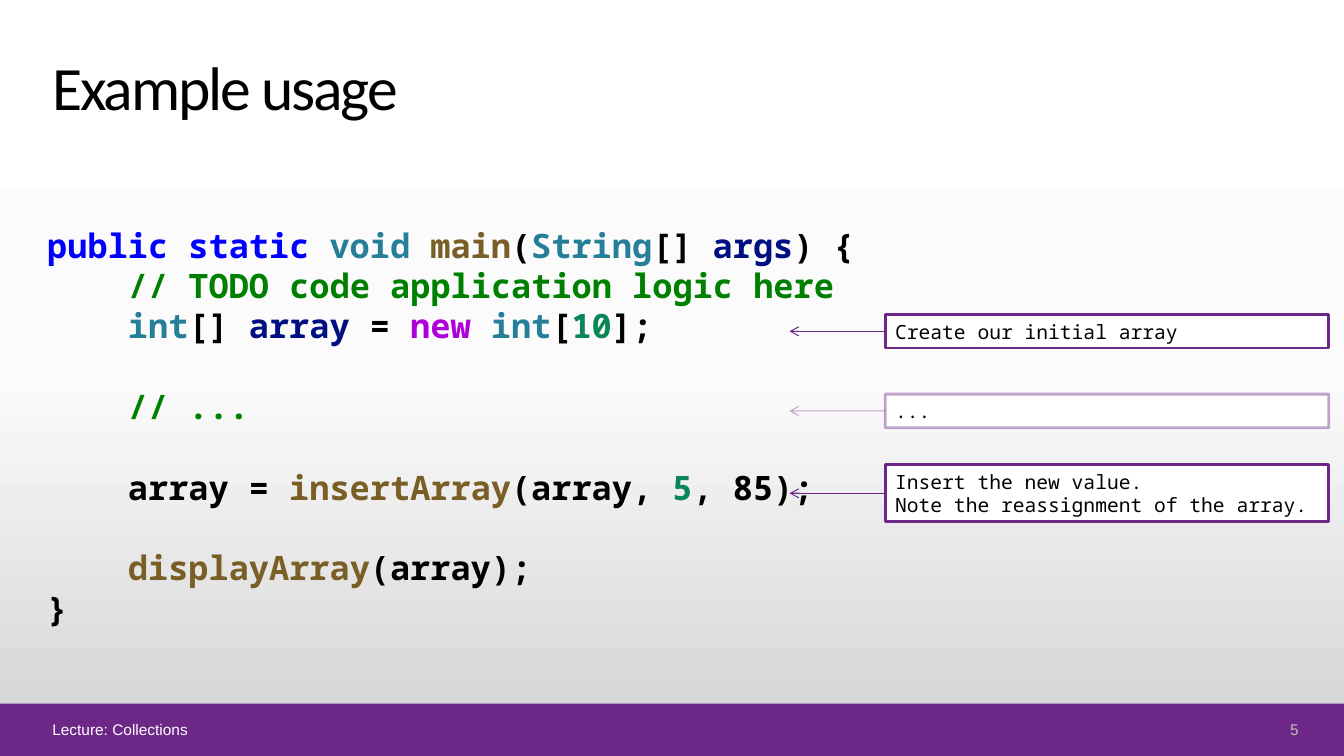
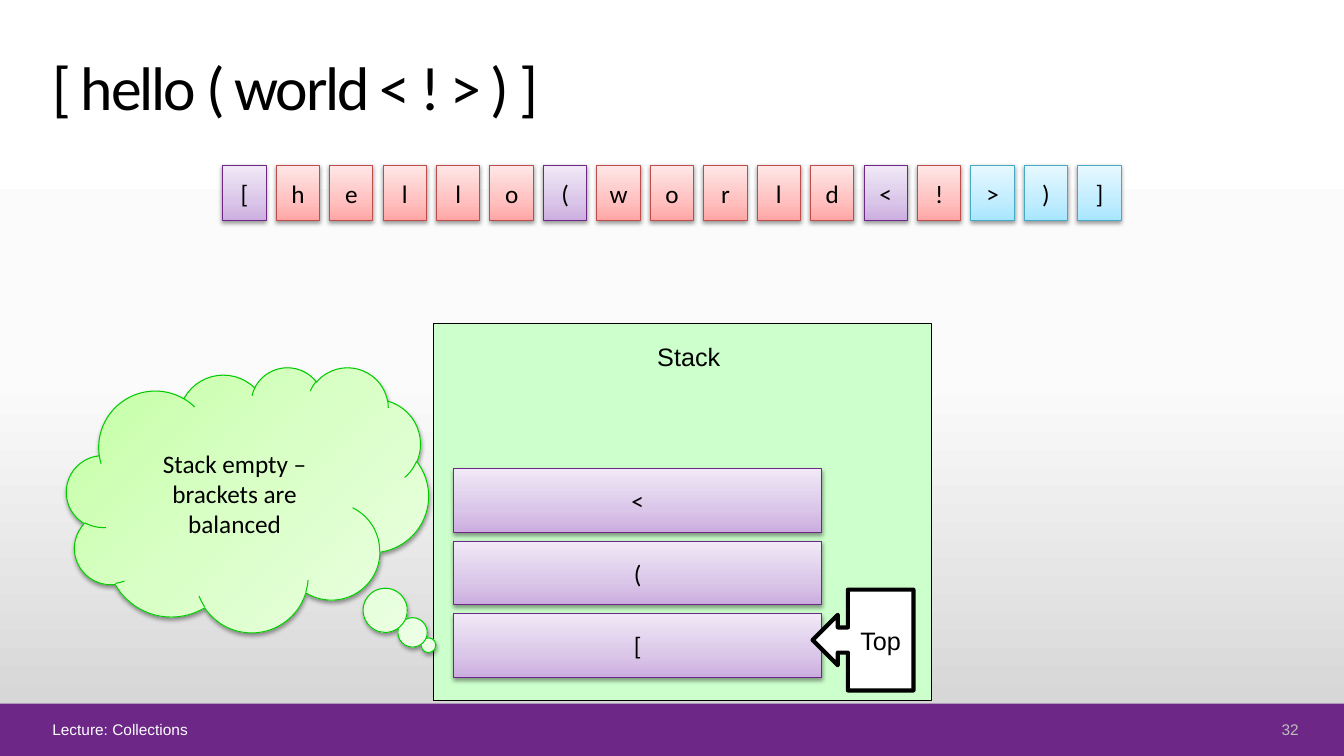
from lxml import etree
from pptx import Presentation
from pptx import util as u
from pptx.dml.color import RGBColor
from pptx.enum import shapes, text
from pptx.oxml.ns import qn

Inches, Pt = u.Inches, u.Pt
Kind, Align, Anchor = shapes.MSO_SHAPE, text.PP_ALIGN, text.MSO_ANCHOR

# Colours
BLACK = RGBColor(0x00, 0x00, 0x00)
WHITE = RGBColor(0xFF, 0xFF, 0xFF)
GREY = RGBColor(0xBF, 0xBF, 0xBF)
PURPLE = RGBColor(0x6C, 0x27, 0x87)
RED = RGBColor(0xBF, 0x4C, 0x48)
CYAN = RGBColor(0x46, 0xAA, 0xC5)
GREEN = RGBColor(0x00, 0xCC, 0x00)
PALE_GREEN = RGBColor(0xCC, 0xFF, 0xCC)

# Syntax colours
KEYWORD = RGBColor(0x00, 0x00, 0xFF)
TYPE = RGBColor(0x26, 0x7F, 0x99)
METHOD = RGBColor(0x79, 0x5E, 0x26)
VARIABLE = RGBColor(0x00, 0x10, 0x80)
COMMENT = RGBColor(0x00, 0x80, 0x00)
OPERATOR = RGBColor(0xAF, 0x00, 0xDB)
NUMBER = RGBColor(0x09, 0x86, 0x58)


def ramp(middle, *colours):
    """Pair three hex colours with their stop positions in percent."""
    return list(zip((0, middle, 100), [RGBColor.from_string(c) for c in colours]))


BACKGROUND_RAMP = ramp(50, "FFFFFF", "FBFBFB", "D1D1D1")
PURPLE_RAMP = ramp(35, "CBADDF", "DAC6E8", "F1E9F7")
RED_RAMP = ramp(35, "FFA6A5", "FFC0BF", "FFE7E7")
CYAN_RAMP = ramp(35, "A7E6FF", "C1EDFF", "E7F8FF")
GREEN_RAMP = ramp(50, "C4FFA3", "D9FFC7", "ECFFE4")

TITLE_FONT, BODY_FONT, CODE_FONT = "Calibri", "Arial", "Noto Sans Mono"
SLIDE_WIDTH, SLIDE_HEIGHT = 13.33, 7.5
BAND_TOP, BAND_HEIGHT = 6.98, 0.52
MARGIN = 0.42
LINE_RATIO = 1.2


# Formatting helpers
def add_element(parent, tag, **attributes):
    element = etree.SubElement(parent, qn(tag))
    for name, value in attributes.items():
        element.set(name, str(value))
    return element


def add_alpha(parent, percent):
    add_element(parent, "a:alpha", val=percent * 1000)


def set_gradient(fill, properties, stops, angle):
    """Give the owner of the fill a linear gradient, angle clockwise."""
    fill.solid()
    solid = properties.find(qn("a:solidFill"))
    gradient = etree.Element(qn("a:gradFill"), rotWithShape="1")
    stop_list = add_element(gradient, "a:gsLst")
    for position, colour in stops:
        stop = add_element(stop_list, "a:gs", pos=position * 1000)
        add_element(stop, "a:srgbClr", val=colour)
    add_element(gradient, "a:lin", ang=angle * 60000, scaled=0)
    properties.replace(solid, gradient)


def set_line(line, colour, width, alpha=100):
    line.color.rgb = colour
    line.width = Pt(width)
    if alpha < 100:
        add_alpha(line.fill._xPr.find(qn("a:solidFill"))[0], alpha)


def add_soft_shadow(shape):
    effects = shape._element.spPr.find(qn("a:effectLst"))
    shadow = add_element(effects, "a:outerShdw", blurRad=Pt(3.1), dist=Pt(1.6),
                         dir=90 * 60000, rotWithShape=0)
    add_alpha(add_element(shadow, "a:srgbClr", val=BLACK), 38)


def write_text(shape, lines, size=18, font=BODY_FONT, colour=BLACK, bold=False,
               align=Align.LEFT, anchor=Anchor.TOP, wrap=True, pitch=None,
               gaps=(), tracking=None):
    """Write lines, each a string or a list of (text, colour) runs.

    The lines whose index is in gaps stand one line lower."""
    frame = shape.text_frame
    frame.word_wrap, frame.vertical_anchor = wrap, anchor
    for index, line in enumerate(lines):
        paragraph = frame.add_paragraph() if index else frame.paragraphs[0]
        paragraph.alignment = align
        if pitch:
            paragraph.line_spacing = Pt(pitch)
        if index in gaps:
            paragraph.space_before = Pt(pitch)
        for words, tint in [(line, colour)] if isinstance(line, str) else line:
            run = paragraph.add_run()
            run.text = words
            run.font.size, run.font.name = Pt(size), font
            run.font.bold, run.font.color.rgb = bold, tint
            if tracking:
                run.font._element.set("spc", str(int(tracking * 100)))


def add_text(slide, box, lines, **style):
    shape = slide.shapes.add_textbox(*map(Inches, box))
    write_text(shape, lines, **style)
    return shape


def add_box(slide, box, fill, kind=Kind.RECTANGLE, line=None, width=0.75, alpha=100,
            angle=270):
    """Add a shape; a gradient fill also brings a soft shadow."""
    shape = slide.shapes.add_shape(kind, *map(Inches, box))
    shape.shadow.inherit = False
    if isinstance(fill, list):
        set_gradient(shape.fill, shape._element.spPr, fill, angle)
        add_soft_shadow(shape)
    else:
        shape.fill.solid()
        shape.fill.fore_color.rgb = fill
    if line is None:
        shape.line.fill.background()
    else:
        set_line(shape.line, line, width, alpha)
    return shape


# Parts shared by the slides
def set_background(presentation):
    background = presentation.slide_master.background
    background.fill.solid()
    properties = presentation.slide_master._element.cSld.find(qn("p:bg"))[0]
    set_gradient(background.fill, properties, BACKGROUND_RAMP, 90)


def add_base_slide(presentation, title, number):
    slide = presentation.slides.add_slide(presentation.slide_layouts[6])
    add_box(slide, (0, BAND_TOP, SLIDE_WIDTH, BAND_HEIGHT), PURPLE)
    add_text(slide, (MARGIN, 0.4, 10.4, 0.87), [title], size=44, font=TITLE_FONT,
             anchor=Anchor.BOTTOM, tracking=-1.5)
    footer = dict(size=11, anchor=Anchor.MIDDLE)
    add_text(slide, (MARGIN, 7.12, 11.65, 0.23), ["Lecture: Collections"],
             colour=WHITE, **footer)
    add_text(slide, (12.23, 7.12, 0.75, 0.23), [str(number)], colour=GREY,
             align=Align.RIGHT, **footer)
    return slide


# Code slide
CODE_LINES = [
    [("public static ", KEYWORD), ("void ", TYPE), ("main", METHOD), ("(", BLACK),
     ("String", TYPE), ("[] ", BLACK), ("args", VARIABLE), (") {", BLACK)],
    [("    // TODO code application logic here", COMMENT)],
    [("    int", TYPE), ("[] ", BLACK), ("array", VARIABLE), (" = ", BLACK),
     ("new ", OPERATOR), ("int", TYPE), ("[", BLACK), ("10", NUMBER), ("];", BLACK)],
    [("    // ...", COMMENT)],
    [("    array = ", BLACK), ("insertArray", METHOD), ("(array, ", BLACK),
     ("5", NUMBER), (", 85);", BLACK)],
    [("    displayArray", METHOD), ("(array);", BLACK)],
    "}",
]
CODE_GAPS = (3, 4, 5)

# Top, text lines and opacity of each remark
REMARKS = [
    (3.12, ["Create our initial array"], 100),
    (3.91, ["..."], 41),
    (4.61, ["Insert the new value.", "Note the reassignment of the array."], 100),
]


def add_remark(slide, left, top, lines, alpha):
    size, arrow_length = 14, 0.95
    pitch = size * LINE_RATIO
    height = 0.1 + len(lines) * pitch / 72
    remark = add_box(slide, (left, top, 4.4, height), WHITE, line=PURPLE, width=2,
                     alpha=alpha)
    write_text(remark, lines, size=size, font=CODE_FONT, pitch=pitch)
    middle = Inches(top + height / 2)
    arrow = slide.shapes.add_connector(shapes.MSO_CONNECTOR.STRAIGHT, Inches(left),
                                       middle, Inches(left - arrow_length), middle)
    arrow.begin_connect(remark, 1)
    set_line(arrow.line, PURPLE, 0.75, alpha)
    add_element(arrow.line.fill._xPr, "a:tailEnd", type="arrow")
    add_element(arrow._element.spPr, "a:effectLst")


def build_code_slide(presentation):
    slide = add_base_slide(presentation, "Example usage", 5)
    add_text(slide, (0.37, 2.18, 10.45, 4.14), CODE_LINES, size=24, font=CODE_FONT,
             bold=True, pitch=24 * LINE_RATIO, gaps=CODE_GAPS)
    for top, lines, alpha in REMARKS:
        add_remark(slide, 8.78, top, lines, alpha)


# Stack slide
TOKENS = "[hello(world<!>)]"
LABEL = dict(font=TITLE_FONT, align=Align.CENTER, anchor=Anchor.MIDDLE)


def token_style(token):
    if token in "[(<":
        return PURPLE_RAMP, PURPLE
    if token in "])>":
        return CYAN_RAMP, CYAN
    return RED_RAMP, RED


def add_token(slide, box, token, **style):
    fill, line = token_style(token)
    write_text(add_box(slide, box, fill, line=line), [token], **LABEL, **style)


def add_token_row(slide, left, top):
    for index, token in enumerate(TOKENS):
        add_token(slide, (left + index * 0.53, top, 0.43, 0.55), token)


def add_stack(slide, left, top, width, height):
    add_box(slide, (left, top, width, height), PALE_GREEN, line=BLACK)
    add_text(slide, (left + 2.12, top + 0.13, 0.88, 0.4), ["Stack"], wrap=False)
    bottom_row = top + height - 0.86
    for level, token in enumerate("[(<"):
        add_token(slide, (left + 0.2, bottom_row - level * 0.72, 3.65, 0.63), token,
                  wrap=False)
    pointer = add_box(slide, (left + 3.76, top + height - 1.1, 1, 1), WHITE,
                      kind=Kind.LEFT_ARROW_CALLOUT, line=BLACK, width=3)
    for index, value in enumerate((0.25, 0.25, 0.25, 0.65)):
        pointer.adjustments[index] = value
    write_text(pointer, ["Top"], align=Align.CENTER, anchor=Anchor.MIDDLE, wrap=False)


def add_thought(slide, box, words):
    cloud = add_box(slide, box, GREEN_RAMP, kind=Kind.CLOUD_CALLOUT, line=GREEN, angle=45)
    cloud.adjustments[0], cloud.adjustments[1] = 0.5, 0.55
    write_text(cloud, [words], **LABEL)


def build_stack_slide(presentation):
    slide = add_base_slide(presentation, "[ hello ( world < ! > ) ]", 32)
    add_stack(slide, 4.3, 3.21, 4.94, 3.74)
    add_token_row(slide, 2.21, 1.64)
    add_thought(slide, (0.66, 3.64, 3.59, 2.63), "Stack empty – brackets are balanced")


def main():
    presentation = Presentation()
    presentation.slide_width = Inches(SLIDE_WIDTH)
    presentation.slide_height = Inches(SLIDE_HEIGHT)
    set_background(presentation)
    build_code_slide(presentation)
    build_stack_slide(presentation)
    presentation.save("out.pptx")


if __name__ == "__main__":
    main()
